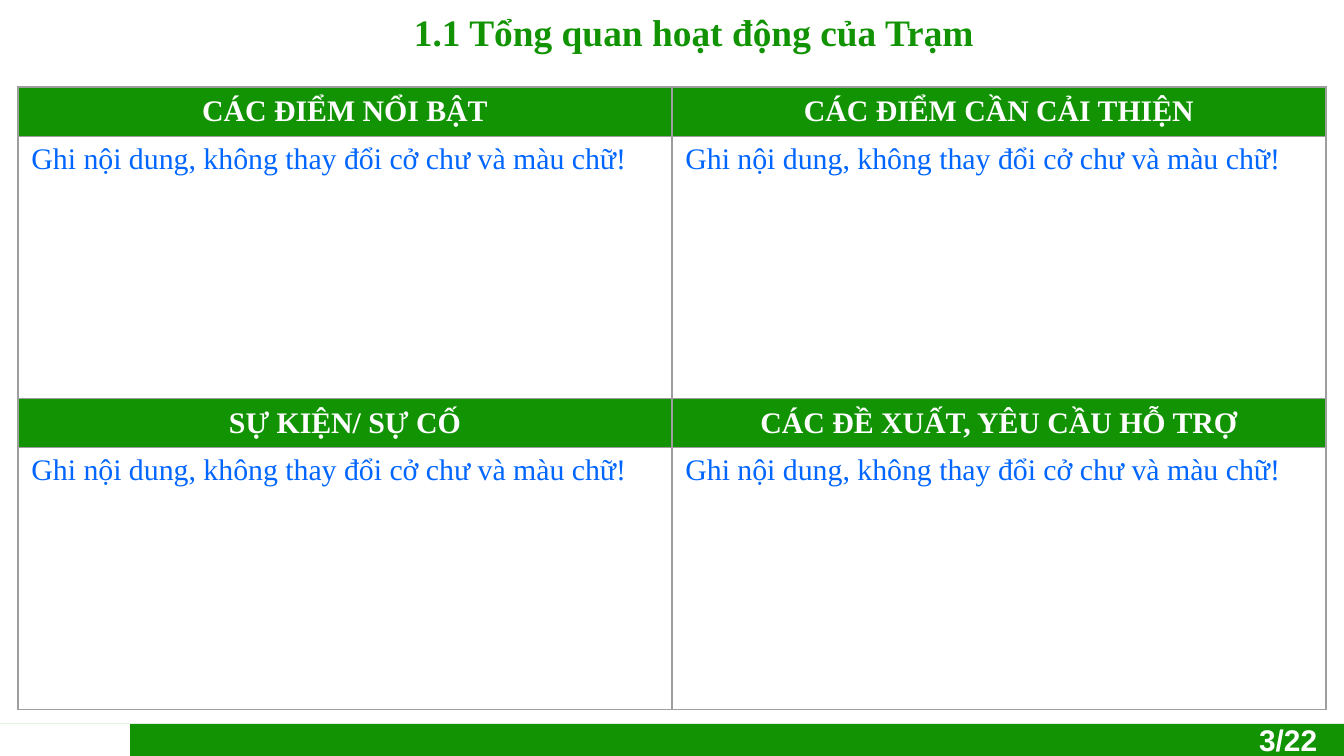
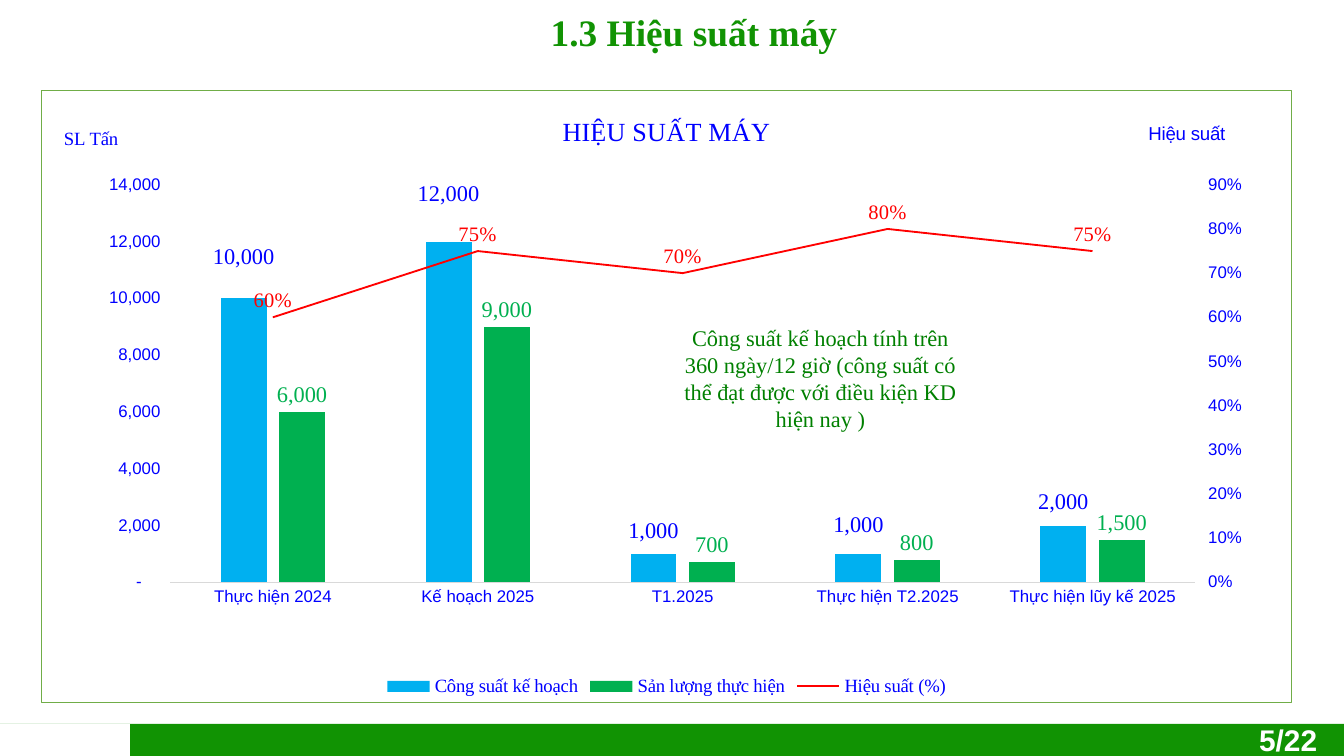
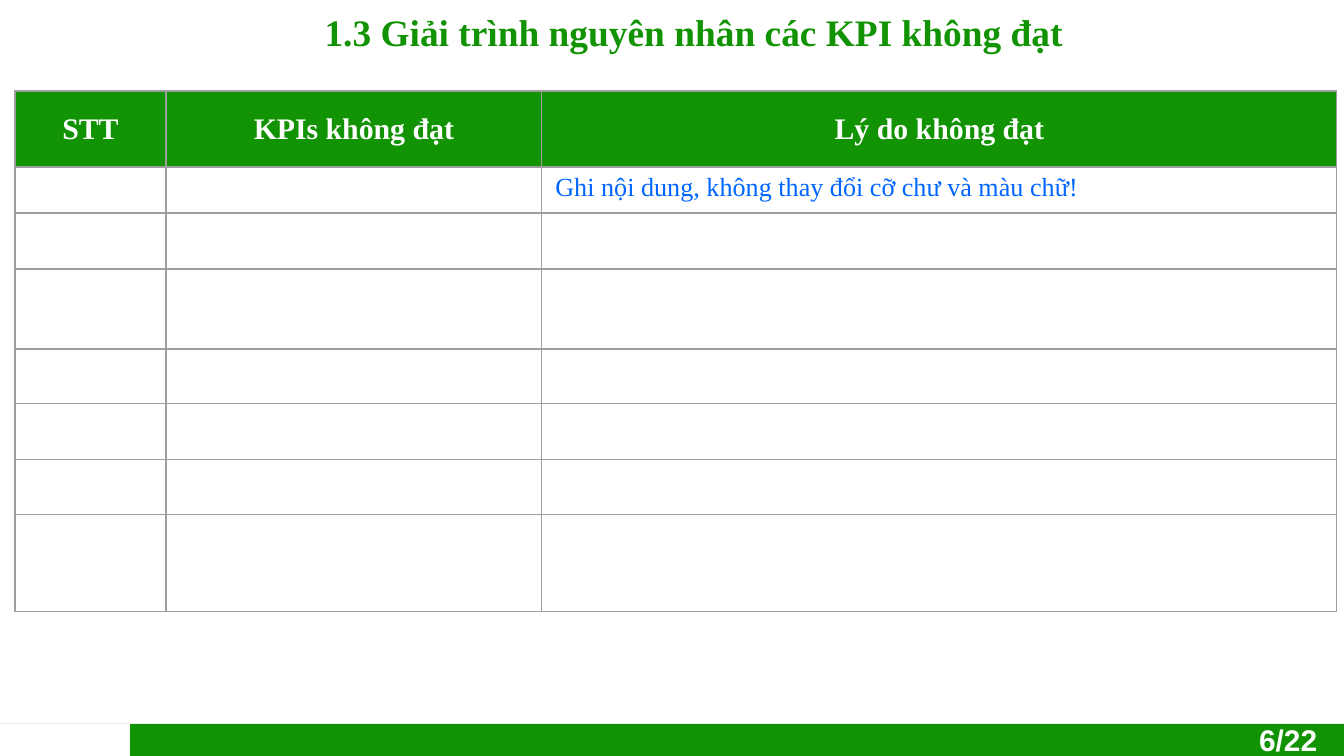
from copy import deepcopy

from lxml import etree
from pptx import Presentation
from pptx.chart.axis import ValueAxis
from pptx.chart.data import CategoryChartData
from pptx.dml.color import RGBColor
from pptx.enum.chart import (XL_CHART_TYPE, XL_LABEL_POSITION,
                             XL_LEGEND_POSITION, XL_MARKER_STYLE, XL_TICK_MARK)
from pptx.enum.shapes import MSO_SHAPE
from pptx.enum.text import MSO_ANCHOR, PP_ALIGN
from pptx.oxml.ns import qn
from pptx.util import Pt

COLUMNS = XL_CHART_TYPE.COLUMN_CLUSTERED
ABOVE = XL_LABEL_POSITION.ABOVE
BOTTOM = XL_LEGEND_POSITION.BOTTOM
NO_MARKER = XL_MARKER_STYLE.NONE
NO_TICK, TICK_OUT = XL_TICK_MARK.NONE, XL_TICK_MARK.OUTSIDE
RECTANGLE = MSO_SHAPE.RECTANGLE
MIDDLE, TOP = MSO_ANCHOR.MIDDLE, MSO_ANCHOR.TOP
CENTER, LEFT = PP_ALIGN.CENTER, PP_ALIGN.LEFT

# Shared look
SLIDE_W, SLIDE_H = 1344, 756
EMU_PER_PX = 9144000 / SLIDE_W
SERIF, SANS = "Times New Roman", "Arial"
GREEN, WHITE, GRID = "119303", "FFFFFF", "9E9E9E"
ENTRY_BLUE, CHART_BLUE, NOTE_GREEN = "0066FF", "0000FF", "008000"
FRAME_GREEN, AXIS_GREY = "70AD47", "D9D9D9"
TITLE_BOX = (225, 3, 938, 59)
BAND_TOP = 724
BAND_LEFT = 130
PAGE_COUNT = 22

# Slide 1: overview
ENTRY = "Ghi nội dung, không thay đổi cở chư và màu chữ!"
OVERVIEW = {
    "at": (18, 87),
    "columns": [654, 654],
    "rows": [49, 262, 49, 262],
    "headers": {0, 2},
    "entry_size": 16,
    "cells": [
        ["CÁC ĐIỂM NỔI BẬT", "CÁC ĐIỂM CẦN CẢI THIỆN"],
        [ENTRY, ENTRY],
        ["SỰ KIỆN/ SỰ CỐ", "CÁC ĐỀ XUẤT, YÊU CẦU HỖ TRỢ"],
        [ENTRY, ENTRY],
    ],
}

# Slide 2: machine performance
THOUSANDS = '_(* #,##0_);_(* \\(#,##0\\);_(* "-"??_);_('
PERCENT = "0%"
CHART_BOX = (41, 90, 1251, 613)
PLOT_LAYOUT = {"x": 0.103, "y": 0.154, "w": 0.82, "h": 0.65}
PERIODS = ["Thực hiện 2024", "Kế hoạch 2025", "T1.2025",
           "Thực hiện T2.2025", "Thực hiện lũy kế 2025"]
# name, values, colour, label colour, label size, number format
OUTPUT_SERIES = [
    ("Công suất kế hoạch", [10000, 12000, 1000, 1000, 2000],
     "00B0F0", CHART_BLUE, 12, THOUSANDS),
    ("Sản lượng thực hiện", [6000, 9000, 700, 800, 1500],
     "00B050", "00B050", 12, THOUSANDS),
    ("Hiệu suất (%)", [0.6, 0.75, 0.7, 0.8, 0.75],
     "FF0000", "FF0000", 11, PERCENT),
]
PLAN_LABEL_LIFTS = [-0.04, -0.05, -0.01, -0.02, -0.01]
# text, size, font, left and top as shares of the chart
CHART_TITLE = ("HIỆU SUẤT MÁY", 14, SERIF, 0.413, 0.032)
TONNES_TITLE = ("SL Tấn", 10, SERIF, 0.015, 0.053)
RATE_TITLE = ("Hiệu suất", 10, SANS, 0.883, 0.045)
NOTE = ("Công suất kế hoạch tính trên 360 ngày/12 giờ (công suất có "
        "thể đạt được với điều kiện KD hiện nay )")
NOTE_BOX = (666, 323, 309, 110)

# Slide 3: missed KPIs
MISSED_KPIS = {
    "at": (15, 91),
    "columns": [151, 376, 795],
    "rows": [76, 46, 56, 80, 55, 56, 55, 97],
    "headers": {0},
    "entry_size": 14,
    "cells": [
        ["STT", "KPIs không đạt", "Lý do không đạt"],
        ["", "", "Ghi nội dung, không thay đổi cỡ chư và màu chữ!"],
    ] + [["", "", ""]] * 6,
}


def px(length):
    return round(length * EMU_PER_PX)


def rgb(value):
    return RGBColor.from_string(value)


def style_font(font, size, color, face, bold=False):
    font.size, font.name, font.bold = Pt(size), face, bold
    font.color.rgb = rgb(color)


def write(frame, text, size, color, face=SERIF, bold=False, align=LEFT):
    paragraph = frame.paragraphs[0]
    paragraph.alignment = align
    run = paragraph.add_run()
    run.text = text
    style_font(run.font, size, color, face, bold)


def add_label(slide, box, text, size, color, anchor=TOP, **look):
    frame = slide.shapes.add_textbox(*map(px, box)).text_frame
    frame.word_wrap = True
    frame.vertical_anchor = anchor
    write(frame, text, size, color, **look)


def add_block(slide, box, color):
    block = slide.shapes.add_shape(RECTANGLE, *map(px, box))
    block.shadow.inherit = False
    block.fill.solid()
    block.fill.fore_color.rgb = rgb(color)
    block.line.fill.background()


def add_slide(deck, title, page):
    """Blank slide with the footer band, page number and title."""
    slide = deck.slides.add_slide(deck.slide_layouts[6])
    band_height = SLIDE_H - BAND_TOP
    add_block(slide, (0, BAND_TOP, SLIDE_W, band_height), GREEN)
    add_block(slide, (0, BAND_TOP, BAND_LEFT, band_height), WHITE)
    add_label(slide, (1246, 715, 98, 41), f"{page}/{PAGE_COUNT}", 16, WHITE,
              face=SANS, bold=True)
    add_label(slide, TITLE_BOX, title, 20, GREEN, bold=True, align=CENTER)
    return slide


# Tables
def add_borders(cell):
    properties = cell._tc.get_or_add_tcPr()
    for side in ("lnL", "lnR", "lnT", "lnB"):
        border = etree.SubElement(properties, qn(f"a:{side}"), w=str(Pt(0.75)))
        paint = etree.SubElement(border, qn("a:solidFill"))
        etree.SubElement(paint, qn("a:srgbClr"), val=GRID)


def add_grid(slide, content):
    columns, rows = content["columns"], content["rows"]
    size = content["entry_size"]
    left, top = content["at"]
    table = slide.shapes.add_table(
        len(rows), len(columns),
        *map(px, (left, top, sum(columns), sum(rows)))).table
    table.first_row = table.horz_banding = False
    for column, width in zip(table.columns, columns):
        column.width = px(width)
    for r, (height, texts) in enumerate(zip(rows, content["cells"])):
        table.rows[r].height = px(height)
        for c, text in enumerate(texts):
            cell = table.cell(r, c)
            add_borders(cell)
            if r in content["headers"]:
                cell.fill.solid()
                cell.fill.fore_color.rgb = rgb(GREEN)
                cell.vertical_anchor = MIDDLE
                write(cell.text_frame, text, 16, WHITE, bold=True,
                      align=CENTER)
                continue
            cell.fill.background()
            if text:
                write(cell.text_frame, text, size, ENTRY_BLUE)
            else:
                # An empty cell still takes its row height from its text size
                etree.SubElement(cell.text_frame.paragraphs[0]._p,
                                 qn("a:endParaRPr"), sz=str(size * 100))


# Chart parts
def add_value(parent, tag, value):
    return etree.SubElement(parent, qn(f"c:{tag}"), val=str(value))


def new_layout(places, inner=False, edge=True):
    layout = etree.Element(qn("c:layout"))
    manual = etree.SubElement(layout, qn("c:manualLayout"))
    if inner:
        add_value(manual, "layoutTarget", "inner")
    if edge:
        add_value(manual, "xMode", "edge")
        add_value(manual, "yMode", "edge")
    for tag, share in places.items():
        add_value(manual, tag, share)
    return layout


def place_title(title, text, size, face, x, y):
    write(title.text_frame, text, size, CHART_BLUE, face=face)
    title.text_frame._txBody.find(qn("a:bodyPr")).set("rot", "0")
    element = title._element
    for old in element.findall(qn("c:layout")):
        element.remove(old)
    element.find(qn("c:tx")).addnext(new_layout({"x": x, "y": y}))


def style_axis(axis, tick):
    axis.has_major_gridlines = False
    axis.major_tick_mark, axis.minor_tick_mark = tick, NO_TICK
    style_font(axis.tick_labels.font, 9, CHART_BLUE, SANS)


def style_value_axis(axis, title, top, step, number_format, tick):
    style_axis(axis, tick)
    axis.minimum_scale, axis.maximum_scale, axis.major_unit = 0, top, step
    axis.format.line.fill.background()
    axis.tick_labels.number_format = number_format
    axis.tick_labels.number_format_is_linked = False
    place_title(axis.axis_title, *title)


def move_rate_to_right_axis(chart):
    """Turn the last column series into a line on a second value axis."""
    plot_area = chart._chartSpace.chart.plotArea
    bars = plot_area.find(qn("c:barChart"))
    rate = bars.findall(qn("c:ser"))[-1]
    for invert in rate.findall(qn("c:invertIfNegative")):
        rate.remove(invert)
    line = etree.Element(qn("c:lineChart"))
    add_value(line, "grouping", "standard")
    add_value(line, "varyColors", 0)
    line.append(rate)
    add_value(line, "marker", 1)
    bars.addnext(line)

    periods = deepcopy(plot_area.find(qn("c:catAx")))
    rates = deepcopy(plot_area.find(qn("c:valAx")))
    plot_area.find(qn("c:valAx")).addnext(rates)
    rates.addnext(periods)
    for axis, own, other in ((periods, 5001, 5002), (rates, 5002, 5001)):
        add_value(line, "axId", own)
        axis.find(qn("c:axId")).set("val", str(own))
        axis.find(qn("c:crossAx")).set("val", str(other))
    periods.find(qn("c:delete")).set("val", "1")
    rates.find(qn("c:axPos")).set("val", "r")
    rates.find(qn("c:crosses")).set("val", "max")
    return ValueAxis(rates)


def label_series(series, color, size, number_format):
    labels = series.data_labels
    labels.show_value = True
    labels.number_format = number_format
    labels.number_format_is_linked = False
    style_font(labels.font, size, color, SERIF)
    for leader in labels._element.findall(qn("c:showLeaderLines")):
        leader.set("val", "0")
    return labels


def lift_labels(series, labels, lifts, color, size):
    number_format = labels._element.find(qn("c:numFmt"))
    for i, lift in enumerate(lifts):
        style_font(series.points[i].data_label.font, size, color, SERIF)
        index = labels._element.findall(qn("c:dLbl"))[i].find(qn("c:idx"))
        index.addnext(deepcopy(number_format))
        index.addnext(new_layout({"x": 0, "y": lift}, edge=False))


def frame_chart(chart):
    frame = etree.Element(qn("c:spPr"))
    border = etree.Element(qn("a:ln"), w=str(Pt(0.75)))
    for parent, color in ((frame, WHITE), (border, FRAME_GREEN)):
        paint = etree.SubElement(parent, qn("a:solidFill"))
        etree.SubElement(paint, qn("a:srgbClr"), val=color)
    frame.append(border)
    chart._chartSpace.chart.addnext(frame)


def add_performance_chart(slide):
    data = CategoryChartData()
    data.categories = PERIODS
    for name, values, _, _, _, number_format in OUTPUT_SERIES:
        data.add_series(name, values, number_format)
    chart = slide.shapes.add_chart(COLUMNS, *map(px, CHART_BOX), data).chart
    style_font(chart.font, 10, "000000", SANS)
    frame_chart(chart)
    place_title(chart.chart_title, *CHART_TITLE)
    chart.has_legend = True
    chart.legend.position = BOTTOM
    chart.legend.include_in_layout = False
    style_font(chart.legend.font, 10, CHART_BLUE, SERIF)

    # Axes: with two value axes chart.value_axis is the second, so take it now
    tonnes_axis, period_axis = chart.value_axis, chart.category_axis
    rate_axis = move_rate_to_right_axis(chart)
    style_axis(period_axis, NO_TICK)
    period_axis.format.line.color.rgb = rgb(AXIS_GREY)
    period_axis.format.line.width = Pt(0.75)
    style_value_axis(tonnes_axis, TONNES_TITLE, 14000, 2000, THOUSANDS,
                     NO_TICK)
    style_value_axis(rate_axis, RATE_TITLE, 0.9, 0.1, PERCENT, TICK_OUT)
    plot_area = chart._chartSpace.chart.plotArea
    for old in plot_area.findall(qn("c:layout")):
        plot_area.remove(old)
    plot_area.insert(0, new_layout(PLOT_LAYOUT, inner=True))

    # Series
    columns, line = chart.plots
    columns.gap_width, columns.overlap = 219, -27
    columns.vary_by_categories = False
    plan, actual = columns.series
    rate = line.series[0]
    for series, (_, _, color, label_color, size, number_format) in zip(
            (plan, actual, rate), OUTPUT_SERIES):
        labels = label_series(series, label_color, size, number_format)
        if series is rate:
            labels.position = ABOVE
            rate.smooth = False
            rate.marker.style = NO_MARKER
            rate.format.line.color.rgb = rgb(color)
            rate.format.line.width = Pt(1)
            continue
        series.format.fill.solid()
        series.format.fill.fore_color.rgb = rgb(color)
        if series is plan:
            lift_labels(plan, labels, PLAN_LABEL_LIFTS, label_color, size)


def main():
    deck = Presentation()
    deck.slide_width, deck.slide_height = px(SLIDE_W), px(SLIDE_H)

    overview = add_slide(deck, "1.1 Tổng quan hoạt động của Trạm", 3)
    add_grid(overview, OVERVIEW)

    performance = add_slide(deck, "1.3 Hiệu suất máy", 5)
    add_performance_chart(performance)
    add_label(performance, NOTE_BOX, NOTE, 12, NOTE_GREEN, anchor=MIDDLE,
              align=CENTER)

    missed = add_slide(deck, "1.3 Giải trình nguyên nhân các KPI không đạt", 6)
    add_grid(missed, MISSED_KPIS)

    deck.save("out.pptx")


if __name__ == "__main__":
    main()
